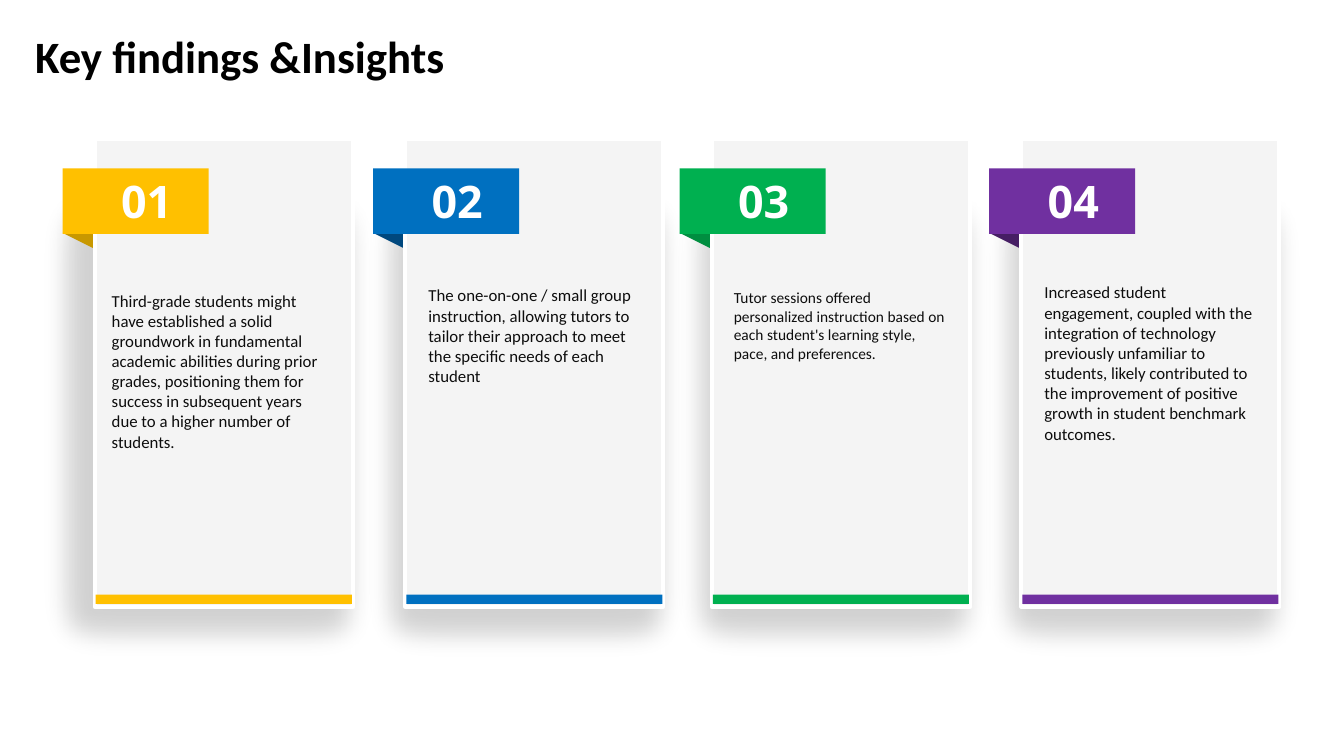
from lxml import etree
from pptx import Presentation
from pptx.dml.color import RGBColor
from pptx.enum.shapes import MSO_SHAPE
from pptx.enum.text import MSO_AUTO_SIZE, PP_ALIGN
from pptx.oxml.ns import qn
from pptx.util import Inches, Pt

RECT, TRIANGLE = MSO_SHAPE.RECTANGLE, MSO_SHAPE.RIGHT_TRIANGLE
LEFT, CENTER = PP_ALIGN.LEFT, PP_ALIGN.CENTER

# Content
TITLE = "Key findings &Insights"
COLORS = {
    "black": "000000", "white": "FFFFFF", "card": "F4F4F4", "body": "0D0D0D",
    "yellow": "FFC000", "yellow_fold": "C89800",
    "blue": "0070C0", "blue_fold": "00487E",
    "green": "00B050", "green_fold": "008E40",
    "purple": "7030A0", "purple_fold": "461E64",
}
# Each finding: color, card left, shadow (left, width), text box, size, text
FINDINGS = [
    ("yellow", 0.94, (0.25, 3.62), (1.01, 2.83, 2.37, 1.72), 12,
     "Third-grade students might have established a solid groundwork in "
     "fundamental academic abilities during prior grades, positioning them for "
     "success in subsequent years due to a higher number of students."),
    ("blue", 4.02, (3.48, 3.48), (4.15, 2.78, 2.29, 1.11), 12,
     "The one-on-one / small group instruction, allowing tutors to tailor their "
     "approach to meet the specific needs of each student"),
    ("green", 7.06, (6.54, 3.46), (7.18, 2.81, 2.32, 0.84), 11,
     "Tutor sessions offered personalized instruction based on each student's "
     "learning style, pace, and preferences."),
    ("purple", 10.13, (9.6, 3.47), (10.26, 2.75, 2.3, 1.72), 12,
     "Increased student engagement, coupled with the integration of technology "
     "previously unfamiliar to students, likely contributed to the improvement "
     "of positive growth in student benchmark outcomes."),
]
CARD_TOP, CARD_W, CARD_H = 1.38, 2.56, 4.64
FLAG_TOP, FLAG_W, FLAG_H, FLAG_OUT = 1.67, 1.45, 0.65, 0.32
SHADOW_TOP, SHADOW_H, SHADOW_ALPHA, SOFT_EDGE = 1.69, 5, 18, 0.3

prs = Presentation()
prs.slide_width, prs.slide_height = Inches(13.33), Inches(7.5)
s = prs.slides.add_slide(prs.slide_layouts[6])


def rgb(name):
    return RGBColor.from_string(COLORS[name])


def add_block(kind, box, color):
    sp = s.shapes.add_shape(kind, *map(Inches, box))
    sp.shadow.inherit = False
    sp.fill.solid()
    sp.fill.fore_color.rgb = rgb(color)
    sp.line.fill.background()
    return sp


def add_text(box, text, size, color, font="Calibri", bold=False, align=LEFT):
    tf = s.shapes.add_textbox(*map(Inches, box)).text_frame
    tf.word_wrap = True
    tf.auto_size = MSO_AUTO_SIZE.SHAPE_TO_FIT_TEXT
    p = tf.paragraphs[0]
    p.alignment = align
    r = p.add_run()
    r.text = text
    r.font.name, r.font.size, r.font.bold = font, Pt(size), bold
    r.font.color.rgb = rgb(color)


def add_soft_shadow(left, width):
    sp = add_block(RECT, (left, SHADOW_TOP, width, SHADOW_H), "black")
    spPr = sp._element.spPr
    fill_color = spPr.find(qn("a:solidFill"))[0]
    etree.SubElement(fill_color, qn("a:alpha"), val=str(SHADOW_ALPHA * 1000))
    etree.SubElement(spPr.find(qn("a:effectLst")), qn("a:softEdge"),
                     rad=str(Inches(SOFT_EDGE)))


# Title
add_text((0.25, 0.24, 4.4, 0.64), TITLE, 32, "black", bold=True)

# Finding cards
for number, (color, x, shadow, text_box, size, text) in enumerate(FINDINGS, 1):
    flag_x = x - FLAG_OUT
    add_soft_shadow(*shadow)
    fold = add_block(TRIANGLE, (flag_x, FLAG_TOP + FLAG_H - 0.01, FLAG_OUT, 0.16),
                     color + "_fold")
    fold.rotation = 180
    card = add_block(RECT, (x, CARD_TOP, CARD_W, CARD_H), "card")
    card.line.color.rgb = rgb("white")
    card.line.width = Pt(3)
    add_block(RECT, (flag_x, FLAG_TOP, FLAG_W, FLAG_H), color)
    add_text((x - 0.08, FLAG_TOP, 1.19, 0.64), f"{number:02}", 32, "white",
             font="Open Sans", bold=True, align=CENTER)
    add_text(text_box, text, size, "body")
    add_block(RECT, (x + 0.01, 5.9, 2.54, 0.09), color)

prs.save("out.pptx")
